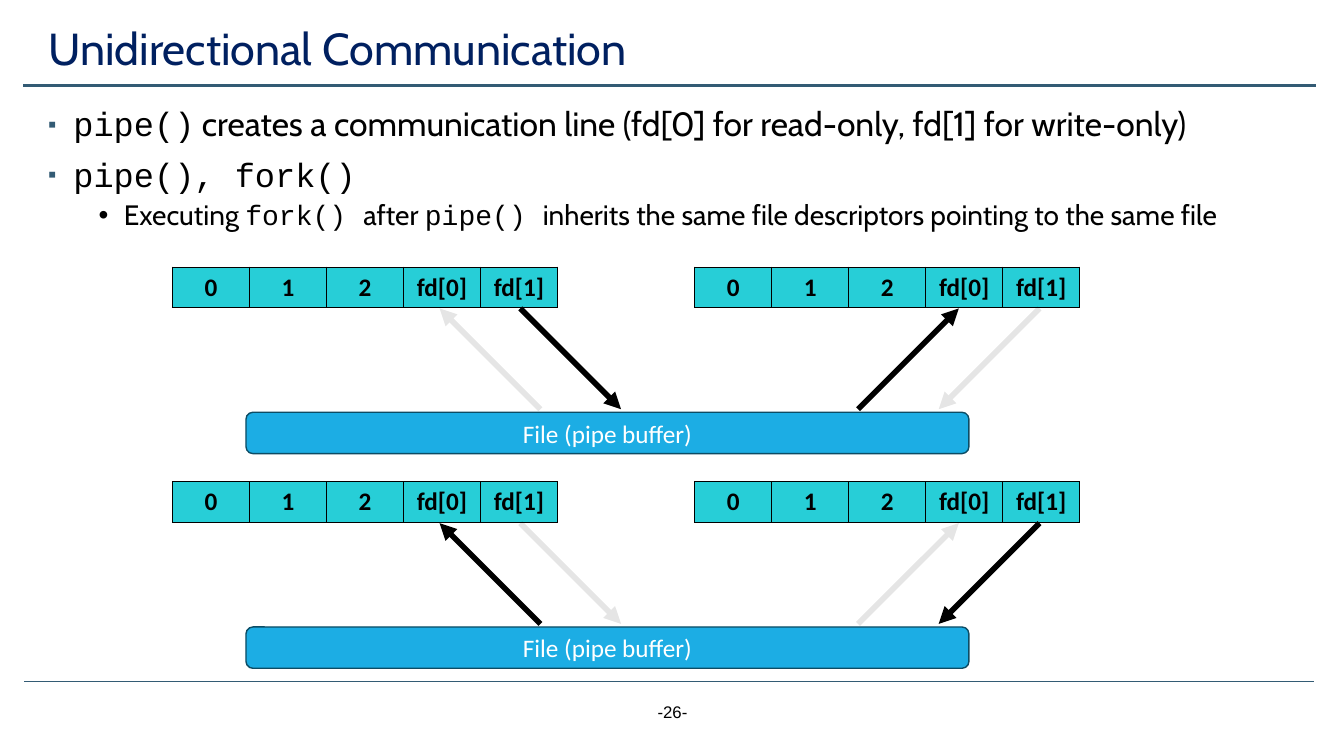
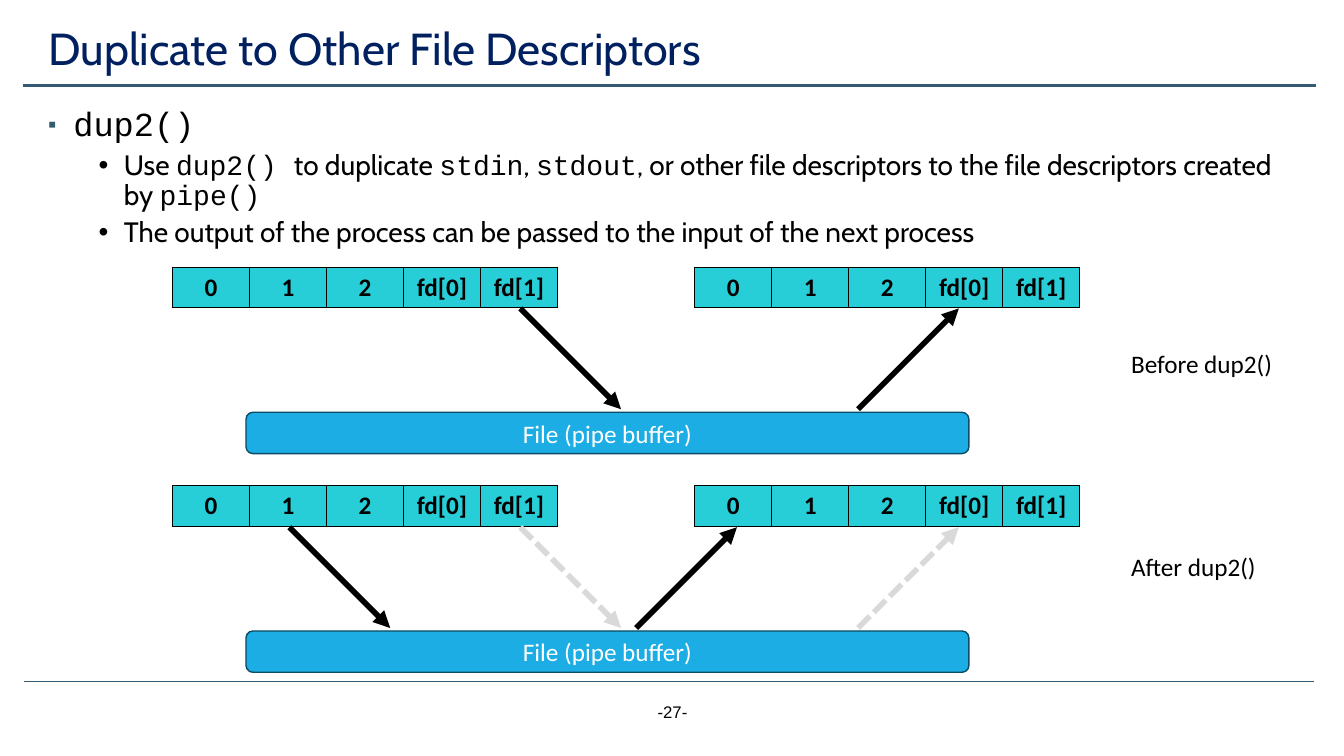
from lxml import etree
from pptx import Presentation
from pptx.dml.color import RGBColor
from pptx.enum.dml import MSO_LINE
from pptx.enum.shapes import MSO_CONNECTOR, MSO_SHAPE
from pptx.enum.text import MSO_ANCHOR, MSO_AUTO_SIZE, PP_ALIGN
from pptx.oxml.ns import qn
from pptx.util import Inches, Pt

STRAIGHT = MSO_CONNECTOR.STRAIGHT
ROUNDED = MSO_SHAPE.ROUNDED_RECTANGLE
LEFT, CENTER = PP_ALIGN.LEFT, PP_ALIGN.CENTER
TOP, MIDDLE = MSO_ANCHOR.TOP, MSO_ANCHOR.MIDDLE
NO_FIT = MSO_AUTO_SIZE.NONE
SYS_DASH = MSO_LINE.SQUARE_DOT

COLORS = {
    "title": "002060",
    "rule": "335B74",
    "text": "000000",
    "light": "FFFFFF",
    "cell": "27CED7",
    "buffer": "1CADE4",
    "buffer_edge": "0C4C64",
    "retired": "D9D9D9",
}
FONTS = {
    "title": {"name": "Cabin", "size": Pt(32)},
    "footer": {"name": "Arial", "size": Pt(12)},
    "diagram": {"name": "Calibri", "size": Pt(18)},
    "descriptor": {"name": "Calibri", "size": Pt(18), "bold": True},
}
BODY_FONT, CODE_FONT = "Cabin", "Courier New"
LEVELS = [
    {"size": 24, "before": 10, "indent": 0.25, "bullet": "▪", "color": "rule", "percent": 70},
    {"size": 20, "before": 5, "indent": 0.75, "bullet": "•", "color": "text", "percent": 100},
]
HANGING = 0.25

TITLE_BOX = (0.38, 0.19, 12.43, 0.63)
BODY_BOX = (0.38, 1.02, 12.43, 5.62)
FOOTER_BOX = (5.17, 6.91, 3, 0.4)
RULES = [((0.24, 6.76), (13.03, 6.76), 0.5), ((0.23, 0.85), (13.05, 0.85), 1.75)]

DESCRIPTORS = ["0", "1", "2", "fd[0]", "fd[1]"]
# Parts of a pipe diagram, measured from its left and top
DIAGRAM_LEFT = 1.71
TABLE_OFFSETS = (0, 5.18)
TABLE_SIZE = (3.82, 0.4)
BUFFER_BOX = (0.73, 1.44, 7.17, 0.41)
ARROW_TOP, ARROW_BOTTOM = 0.41, 1.41

ARROW_STYLES = {
    "active": {"color": "text"},
    "faded": {"color": "text", "opacity": 10},
    "retired": {"color": "retired", "dash": SYS_DASH},
}
# Arrow ends: x at the descriptor, x at the buffer
PARENT_WRITE, PARENT_READ = (3.45, 4.45), (2.65, 3.65)
CHILD_WRITE, CHILD_READ = (8.6, 7.6), (7.8, 6.8)
STDOUT_WRITE, STDIN_READ = (1.16, 2.16), (5.6, 4.6)

SLIDES = [
    {
        "page": 26,
        "title": "Unidirectional Communication",
        "bullets": [
            (0, "`pipe()` creates a communication line (fd[0] for read-only, fd[1] for write-only)"),
            (0, "`pipe(), fork()`"),
            (1, "Executing `fork() `after `pipe() `inherits the same file descriptors "
                "pointing to the same file"),
        ],
        "diagrams": [
            (2.65, [
                (PARENT_WRITE, "write", "active"),
                (CHILD_WRITE, "write", "faded"),
                (CHILD_READ, "read", "active"),
                (PARENT_READ, "read", "faded"),
            ]),
            (4.78, [
                (CHILD_WRITE, "write", "active"),
                (PARENT_READ, "read", "active"),
                (PARENT_WRITE, "write", "faded"),
                (CHILD_READ, "read", "faded"),
            ]),
        ],
        "labels": [],
    },
    {
        "page": 27,
        "title": "Duplicate to Other File Descriptors",
        "bullets": [
            (0, "`dup2()`"),
            (1, "Use `dup2() `to duplicate `stdin`, `stdout`, or other file descriptors "
                "to the file descriptors created by `pipe()`"),
            (1, "The output of the process can be passed to the input of the next process"),
        ],
        "diagrams": [
            (2.65, [
                (PARENT_WRITE, "write", "active"),
                (CHILD_READ, "read", "active"),
            ]),
            (4.82, [
                (PARENT_WRITE, "write", "retired"),
                (CHILD_READ, "read", "retired"),
                (STDOUT_WRITE, "write", "active"),
                (STDIN_READ, "read", "active"),
            ]),
        ],
        "labels": [
            ("Before dup2()", (11.12, 3.41, 1.62, 0.4)),
            ("After dup2()", (11.12, 5.42, 1.52, 0.4)),
        ],
    },
]


def rgb(color):
    return RGBColor.from_string(COLORS[color])


def inches(values):
    return [Inches(value) for value in values]


def apply(target, values):
    for attribute, value in values.items():
        setattr(target, attribute, value)


def add_xml(parent, tag, **attributes):
    return etree.SubElement(parent, qn(tag), attributes)


def write_line(frame, text, font, color, align=LEFT):
    """Fill a text frame with one paragraph in one style."""
    paragraph = frame.paragraphs[0]
    paragraph.alignment = align
    run = paragraph.add_run()
    run.text = text
    apply(run.font, FONTS[font])
    run.font.color.rgb = rgb(color)
    return paragraph


def add_line(slide, start, end, width, color, dash=None, opacity=None, arrow=False):
    line = slide.shapes.add_connector(STRAIGHT, *inches((*start, *end)))
    line.line.color.rgb = rgb(color)
    line.line.width = Pt(width)
    if dash is not None:
        line.line.dash_style = dash
    properties = line._element.spPr
    outline = properties.find(qn("a:ln"))
    if opacity is not None:
        add_xml(outline.find(".//" + qn("a:srgbClr")), "a:alpha", val=str(opacity * 1000))
    if arrow:
        add_xml(outline, "a:tailEnd", type="triangle")
    add_xml(properties, "a:effectLst")


def add_text(slide, text, box, font, align=LEFT, wrap=True):
    frame = slide.shapes.add_textbox(*inches(box)).text_frame
    frame.word_wrap = wrap
    write_line(frame, text, font, "text", align)


def add_frame(slide, title, page):
    """Place the title, rules and page number that every slide has."""
    for start, end, width in RULES:
        add_line(slide, start, end, width, "rule")
    add_text(slide, f"-{page}-", FOOTER_BOX, "footer", CENTER)
    heading = slide.shapes.title
    apply(heading, dict(zip(("left", "top", "width", "height"), inches(TITLE_BOX))))
    apply(heading.text_frame, {"word_wrap": True, "auto_size": NO_FIT, "vertical_anchor": MIDDLE})
    write_line(heading.text_frame, title, "title", "title").line_spacing = 0.9


def add_bullets(slide, box, bullets):
    """Write a bulleted list; text between backticks is set as code."""
    frame = slide.shapes.add_textbox(*inches(box)).text_frame
    apply(frame, {"word_wrap": True, "vertical_anchor": TOP})
    for index, (depth, text) in enumerate(bullets):
        paragraph = frame.add_paragraph() if index else frame.paragraphs[0]
        level = LEVELS[depth]
        apply(paragraph, {"level": depth, "line_spacing": 0.9, "space_before": Pt(level["before"])})
        properties = paragraph._p.get_or_add_pPr()
        properties.set("marL", str(Inches(level["indent"])))
        properties.set("indent", str(-Inches(HANGING)))
        add_xml(add_xml(properties, "a:buClr"), "a:srgbClr", val=COLORS[level["color"]])
        add_xml(properties, "a:buSzPct", val=str(level["percent"] * 1000))
        add_xml(properties, "a:buFont", typeface="Arial")
        add_xml(properties, "a:buChar", char=level["bullet"])
        for part, words in enumerate(text.split("`")):
            if words:
                run = paragraph.add_run()
                run.text = words
                apply(run.font, {"name": CODE_FONT if part % 2 else BODY_FONT,
                                 "size": Pt(level["size"])})
                run.font.color.rgb = rgb("text")


def add_descriptor_table(slide, left, top):
    width, height = TABLE_SIZE
    table = slide.shapes.add_table(
        1, len(DESCRIPTORS), *inches((left, top, width, height))).table
    apply(table, {"first_row": False, "horz_banding": False})
    for column, descriptor in enumerate(DESCRIPTORS):
        table.columns[column].width = Inches(width / len(DESCRIPTORS))
        cell = table.cell(0, column)
        properties = cell._tc.get_or_add_tcPr()
        for side in ("a:lnL", "a:lnR", "a:lnT", "a:lnB"):
            border = add_xml(properties, side, w=str(Pt(1)))
            add_xml(add_xml(border, "a:solidFill"), "a:srgbClr", val=COLORS["text"])
        cell.fill.solid()
        cell.fill.fore_color.rgb = rgb("cell")
        write_line(cell.text_frame, descriptor, "descriptor", "text", CENTER)


def add_buffer(slide, left, top, width, height):
    buffer = slide.shapes.add_shape(ROUNDED, *inches((left, top, width, height)))
    buffer.shadow.inherit = False
    buffer.fill.solid()
    buffer.fill.fore_color.rgb = rgb("buffer")
    buffer.line.color.rgb = rgb("buffer_edge")
    buffer.line.width = Pt(1)
    buffer.text_frame.vertical_anchor = MIDDLE
    write_line(buffer.text_frame, "File (pipe buffer)", "diagram", "light", CENTER)


def add_pipe_diagram(slide, left, top, arrows):
    """Place two descriptor tables above a pipe buffer, joined by arrows."""
    for offset in TABLE_OFFSETS:
        add_descriptor_table(slide, left + offset, top)
    x, y, width, height = BUFFER_BOX
    add_buffer(slide, left + x, top + y, width, height)
    for (descriptor_x, buffer_x), action, style in arrows:
        start = (left + descriptor_x, top + ARROW_TOP)
        end = (left + buffer_x, top + ARROW_BOTTOM)
        if action == "read":
            start, end = end, start
        add_line(slide, start, end, 4, arrow=True, **ARROW_STYLES[style])


def build_slide(presentation, content):
    slide = presentation.slides.add_slide(presentation.slide_layouts[5])
    add_frame(slide, content["title"], content["page"])
    add_bullets(slide, BODY_BOX, content["bullets"])
    for top, arrows in content["diagrams"]:
        add_pipe_diagram(slide, DIAGRAM_LEFT, top, arrows)
    for text, box in content["labels"]:
        add_text(slide, text, box, "diagram", wrap=False)


def main():
    presentation = Presentation()
    apply(presentation, {"slide_width": Inches(13.33), "slide_height": Inches(7.5)})
    for content in SLIDES:
        build_slide(presentation, content)
    presentation.save("out.pptx")


if __name__ == "__main__":
    main()
